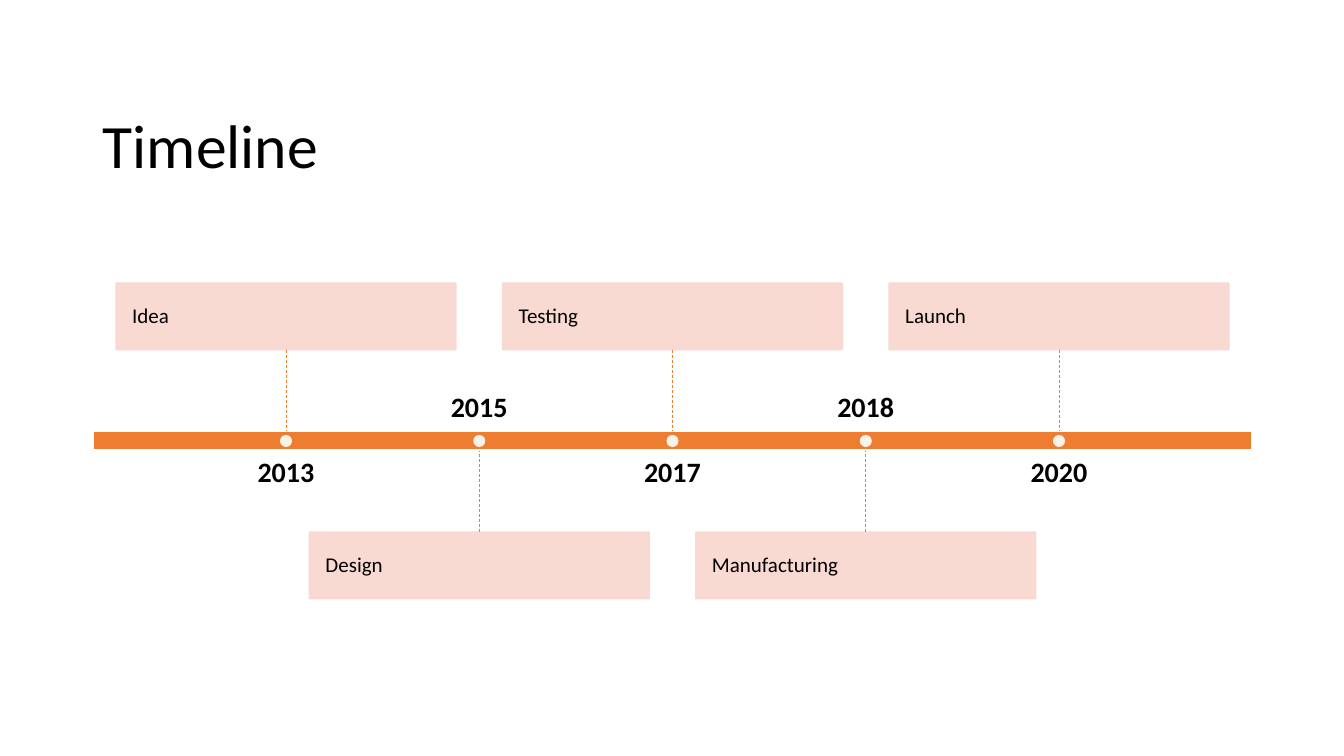
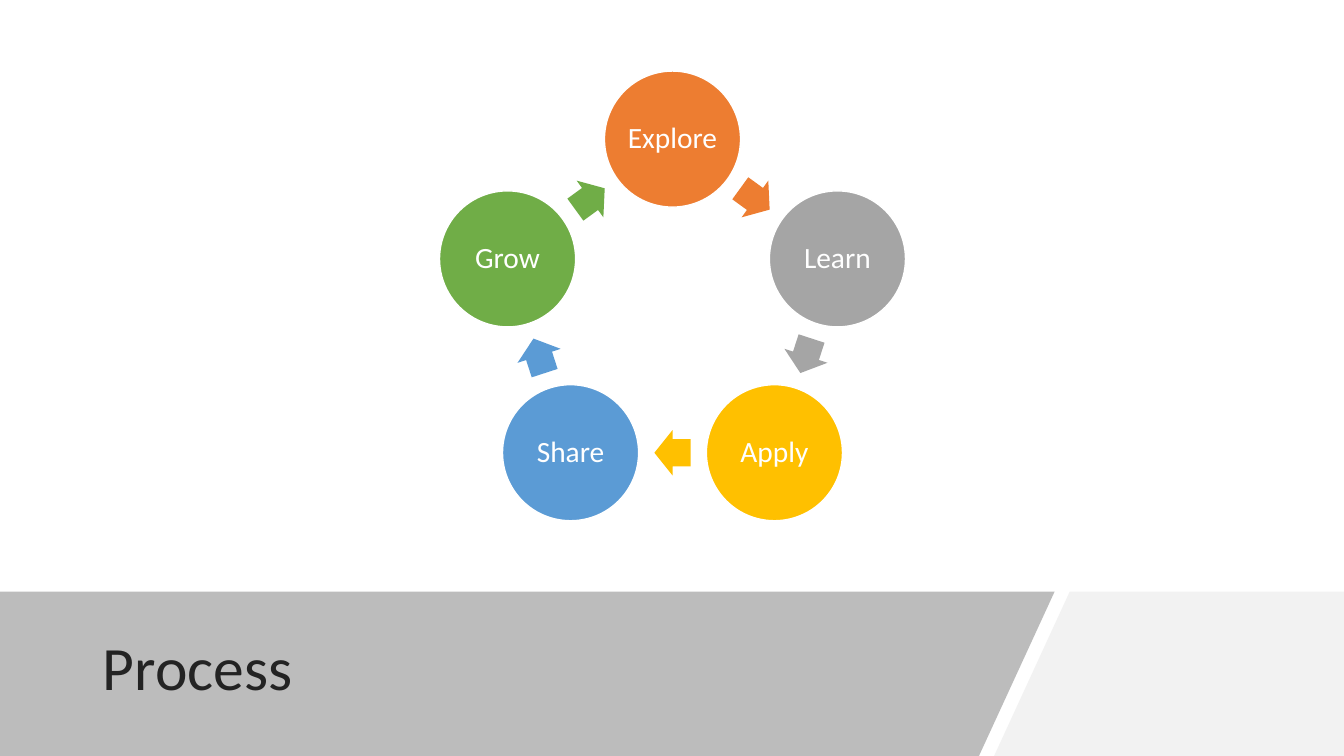
import math

from lxml import etree
from pptx import Presentation, util as u
from pptx.dml.color import RGBColor
from pptx.enum import dml, shapes, text
from pptx.oxml.ns import qn

COLORS = {
    "black": "000000", "white": "FFFFFF", "orange": "ED7D31",
    "gray": "A5A5A5", "gold": "FFC000", "blue": "5B9BD5",
    "green": "70AD47", "blush": "F8D7CE", "charcoal": "595959",
    "mist": "F2F2F2",
}
SHAPE = shapes.MSO_SHAPE
ALIGN = text.PP_ALIGN
ANCHOR = text.MSO_ANCHOR


def inches(*values):
    return [u.Inches(v) for v in values]


class Deck:
    FONT = "Calibri"
    TITLE_SIZE = 44
    LINE_SPACING = 0.9

    def __init__(self):
        self.prs = Presentation()
        self.prs.slide_width, self.prs.slide_height = inches(13.33, 7.5)
        self.s = None

    def slide(self):
        self.s = self.prs.slides.add_slide(self.prs.slide_layouts[5])

    def title(self, words, box, anchor):
        sp = self.s.shapes.title
        sp.left, sp.top, sp.width, sp.height = inches(*box)
        self.set_text(sp, words, self.TITLE_SIZE, anchor=anchor)

    def set_text(self, sp, words, size, color="black", align=ALIGN.LEFT,
                 anchor=ANCHOR.MIDDLE, bold=False, inset=None):
        tf = sp.text_frame
        tf.text = words
        tf.word_wrap = True
        tf.vertical_anchor = anchor
        if inset is not None:
            tf.margin_left = tf.margin_right = u.Inches(inset)
            tf.margin_top = tf.margin_bottom = u.Inches(inset)
        p = tf.paragraphs[0]
        p.alignment = align
        p.line_spacing = self.LINE_SPACING
        font = p.runs[0].font
        font.name, font.size, font.bold = self.FONT, u.Pt(size), bold
        font.color.rgb = RGBColor.from_string(COLORS[color])

    def paint(self, fill, color, alpha=None):
        fill.solid()
        fill.fore_color.rgb = RGBColor.from_string(COLORS[color])
        if alpha is not None:
            clr = fill._xPr.find(qn("a:solidFill"))[0]
            etree.SubElement(clr, qn("a:alpha"), val=str(alpha * 1000))

    def finish(self, sp, color, alpha=None, line=None, width=1):
        sp.shadow.inherit = False
        self.paint(sp.fill, color, alpha)
        if line:
            self.paint(sp.line.fill, line, alpha)
            sp.line.width = u.Pt(width)
        else:
            sp.line.fill.background()

    def shape(self, kind, box, color, **style):
        sp = self.s.shapes.add_shape(kind, *inches(*box))
        self.finish(sp, color, **style)
        return sp

    def polygon(self, points, color, alpha=None):
        start, *rest = [inches(*point) for point in points]
        builder = self.s.shapes.build_freeform(*start)
        builder.add_line_segments(rest, close=True)
        self.finish(builder.convert_to_shape(), color, alpha)

    def label(self, words, box, size, **style):
        sp = self.s.shapes.add_textbox(*inches(*box))
        self.set_text(sp, words, size, **style)

    def dashed_line(self, sp, site, x, y):
        end = inches(x, y)
        line = self.s.shapes.add_connector(
            shapes.MSO_CONNECTOR.STRAIGHT, *end, *end)
        line.begin_connect(sp, site)
        self.paint(line.line.fill, "orange")
        line.line.width = u.Pt(0.5)
        line.line.dash_style = dml.MSO_LINE.DASH
        etree.SubElement(line._element.spPr, qn("a:effectLst"))


def timeline(deck):
    deck.slide()
    deck.title("Timeline", (0.92, 0.4, 11.5, 1.45), ANCHOR.BOTTOM)
    left, top, width, height = bar = 0.92, 4.28, 11.5, 0.19
    deck.shape(SHAPE.RECTANGLE, bar, "orange", line="white", width=1.5)
    events = [("2013", "Idea"), ("2015", "Design"), ("2017", "Testing"),
              ("2018", "Manufacturing"), ("2020", "Launch")]
    step = width / (len(events) + 1)
    box_w, box_h, year_w, year_h, dot = 3.37, 0.66, 3.06, 0.54, 0.12
    for i, (year, event) in enumerate(events):
        x = left + step * (i + 1)
        if i % 2 == 0:
            box_y, site, line_y = 2.81, 2, top
            year_y, anchor = 4.55, ANCHOR.TOP
        else:
            box_y, site, line_y = 5.28, 0, top + height
            year_y, anchor = 3.66, ANCHOR.BOTTOM
        sp = deck.shape(SHAPE.RECTANGLE, (x - box_w / 2, box_y, box_w, box_h),
                        "blush", alpha=90, line="blush")
        deck.set_text(sp, event, 15, inset=0.16)
        deck.dashed_line(sp, site, x, line_y)
        deck.label(year, (x - year_w / 2, year_y, year_w, year_h), 20,
                   align=ALIGN.CENTER, anchor=anchor, bold=True, inset=0)
        deck.shape(SHAPE.OVAL,
                   (x - dot / 2, top + (height - dot) / 2, dot, dot),
                   "white", alpha=90)


def process(deck):
    deck.slide()
    band_top, bottom = 5.87, 7.5
    deck.polygon([(10.61, band_top), (13.33, band_top), (13.33, bottom),
                  (9.86, bottom)], "mist")
    deck.polygon([(0, band_top), (10.46, band_top), (9.71, bottom),
                  (0, bottom)], "charcoal", alpha=40)
    deck.title("Process", (0.92, 6.05, 8.83, 1.2), ANCHOR.MIDDLE)
    stages = [("Explore", "orange"), ("Learn", "gray"), ("Apply", "gold"),
              ("Share", "blue"), ("Grow", "green")]
    radius, circle, arrow_w, arrow_h = 1.72, 1.35, 0.36, 0.45
    turn = 360 / len(stages)
    arrow_radius = radius * math.cos(math.radians(turn / 2))

    def on_ring(angle, distance, w, h):
        a = math.radians(angle)
        return (6.67 + distance * math.sin(a) - w / 2,
                3.1 - distance * math.cos(a) - h / 2, w, h)

    for i, (stage, color) in enumerate(stages):
        sp = deck.shape(SHAPE.OVAL, on_ring(turn * i, radius, circle, circle),
                        color, line="white")
        deck.set_text(sp, stage, 21, "white", ALIGN.CENTER, inset=0.03)
        angle = turn * (i + 0.5)
        arrow = deck.shape(SHAPE.RIGHT_ARROW,
                           on_ring(angle, arrow_radius, arrow_w, arrow_h),
                           color)
        arrow.adjustments[0], arrow.adjustments[1] = 0.6, 0.5
        arrow.rotation = angle


def main():
    deck = Deck()
    timeline(deck)
    process(deck)
    deck.prs.save("out.pptx")


if __name__ == "__main__":
    main()
